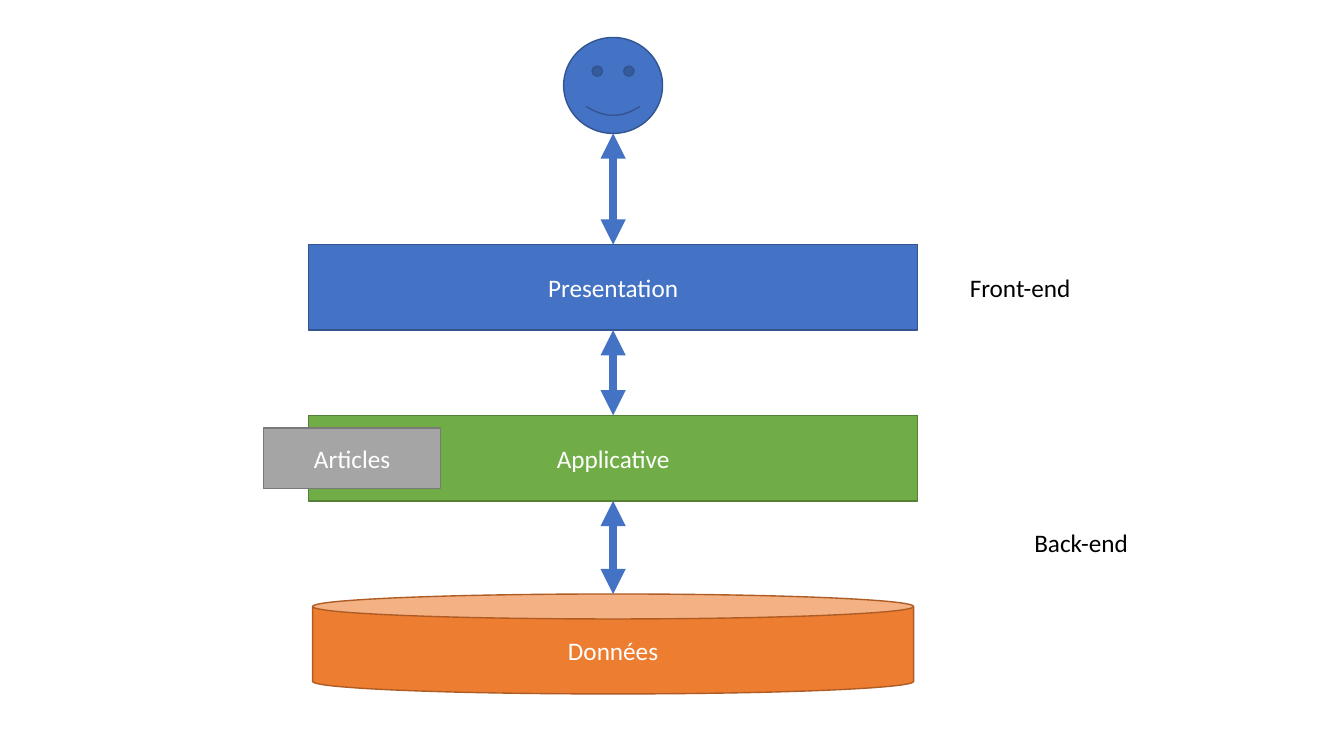
from lxml import etree
from pptx import Presentation
from pptx import util as u
from pptx.dml import color
from pptx.enum import shapes, text
from pptx.oxml import ns

THEME = {
    "font": "Calibri", "size": 18, "edge": 1, "arrow": 6,
    "light": "FFFFFF", "dark": "000000",
    "blue": ("4472C4", "325491"), "green": ("70AD47", "538035"),
    "orange": ("ED7D31", "AF5C24"), "grey": ("A5A5A5", "7A7A7A"),
}

deck = Presentation()
deck.slide_width, deck.slide_height = u.Inches(13.33), u.Inches(7.5)
COL, ROW = deck.slide_width / 100, deck.slide_height / 100
AXIS = 45.62
KIND = shapes.MSO_SHAPE
slide = deck.slides.add_slide(deck.slide_layouts[6])


def grid(left, top, wide, high):
    return int(left * COL), int(top * ROW), int(wide * COL), int(high * ROW)


def write(shape, words, tint, frame, align):
    for name, value in frame.items():
        setattr(shape.text_frame, name, value)
    para = shape.text_frame.paragraphs[0]
    para.alignment = align
    run = para.add_run()
    run.text = words
    look = {"name": THEME["font"], "size": u.Pt(THEME["size"])}
    for name, value in look.items():
        setattr(run.font, name, value)
    run.font.color.rgb = color.RGBColor.from_string(tint)


layers = [
    (KIND.SMILEY_FACE, "", "blue", AXIS, 4.96, 7.36, 12.69),
    (KIND.RECTANGLE, "Presentation", "blue", AXIS, 32.36, 45.33, 11.3),
    (KIND.RECTANGLE, "Applicative", "green", AXIS, 54.96, 45.33, 11.3),
    (KIND.CAN, "Données", "orange", AXIS, 78.58, 44.72, 13.22),
]
badge = (KIND.RECTANGLE, "Articles", "grey", 26.2, 56.62, 13.2, 8)

for kind, words, hue, mid, top, wide, high in layers + [badge]:
    shape = slide.shapes.add_shape(kind, *grid(mid - wide / 2, top, wide, high))
    shape.shadow.inherit = False
    fill, edge = THEME[hue]
    shape.fill.solid()
    shape.fill.fore_color.rgb = color.RGBColor.from_string(fill)
    shape.line.color.rgb = color.RGBColor.from_string(edge)
    shape.line.width = u.Pt(THEME["edge"])
    if words:
        frame = {"word_wrap": True, "vertical_anchor": text.MSO_ANCHOR.MIDDLE}
        write(shape, words, THEME["light"], frame, text.PP_ALIGN.CENTER)

for upper, lower in zip(layers, layers[1:]):
    start, end = upper[4] + upper[6], lower[4]
    arrow = slide.shapes.add_connector(
        shapes.MSO_CONNECTOR.STRAIGHT,
        int(AXIS * COL), int(start * ROW), int(AXIS * COL), int(end * ROW))
    arrow.line.color.rgb = color.RGBColor.from_string(THEME["blue"][0])
    arrow.line.width = u.Pt(THEME["arrow"])
    line = arrow.line._get_or_add_ln()
    for tip in ("a:headEnd", "a:tailEnd"):
        etree.SubElement(line, ns.qn(tip), type="triangle")
    etree.SubElement(arrow._element.spPr, ns.qn("a:effectLst"))

labels = [("Front-end", 71.42, 35.33, 9.15), ("Back-end", 76.22, 69.07, 8.63)]
for words, left, top, wide in labels:
    box = slide.shapes.add_textbox(*grid(left, top, wide, 5.33))
    frame = {"word_wrap": False, "auto_size": text.MSO_AUTO_SIZE.SHAPE_TO_FIT_TEXT}
    write(box, words, THEME["dark"], frame, text.PP_ALIGN.LEFT)

deck.save("out.pptx")
